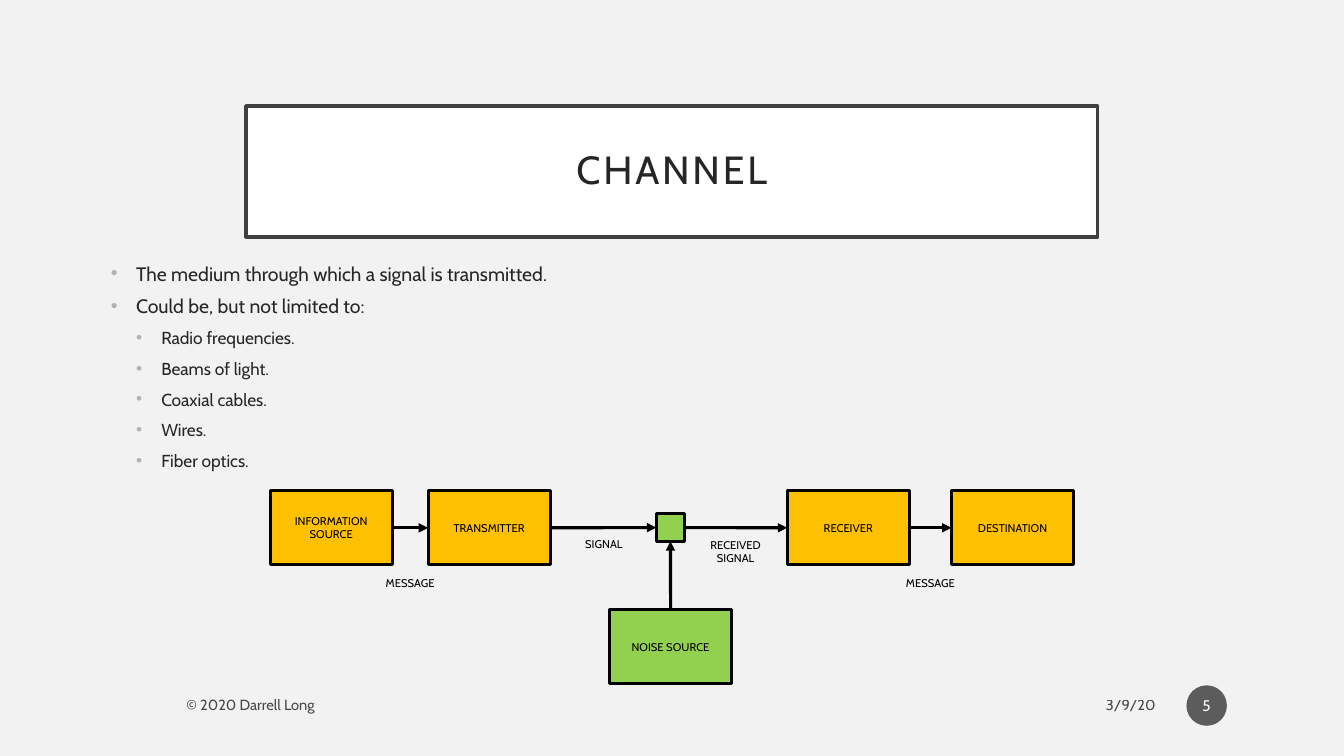
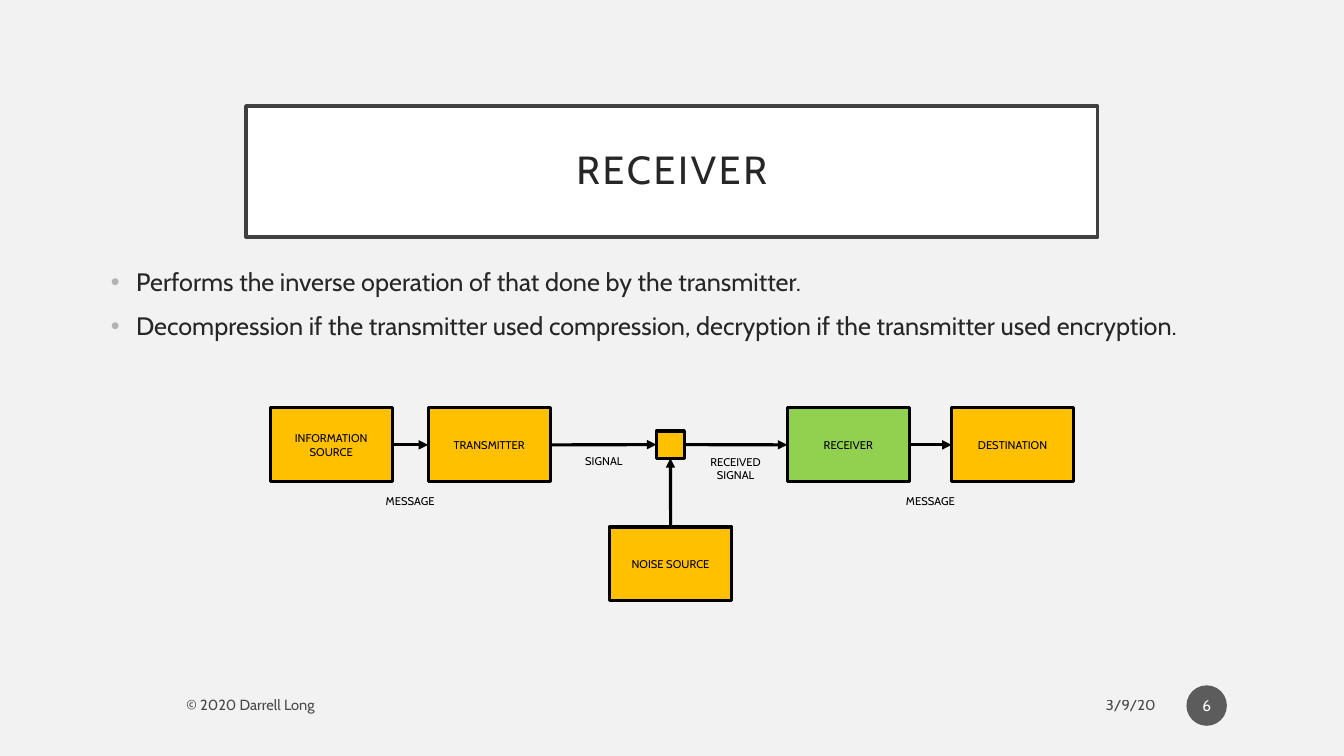
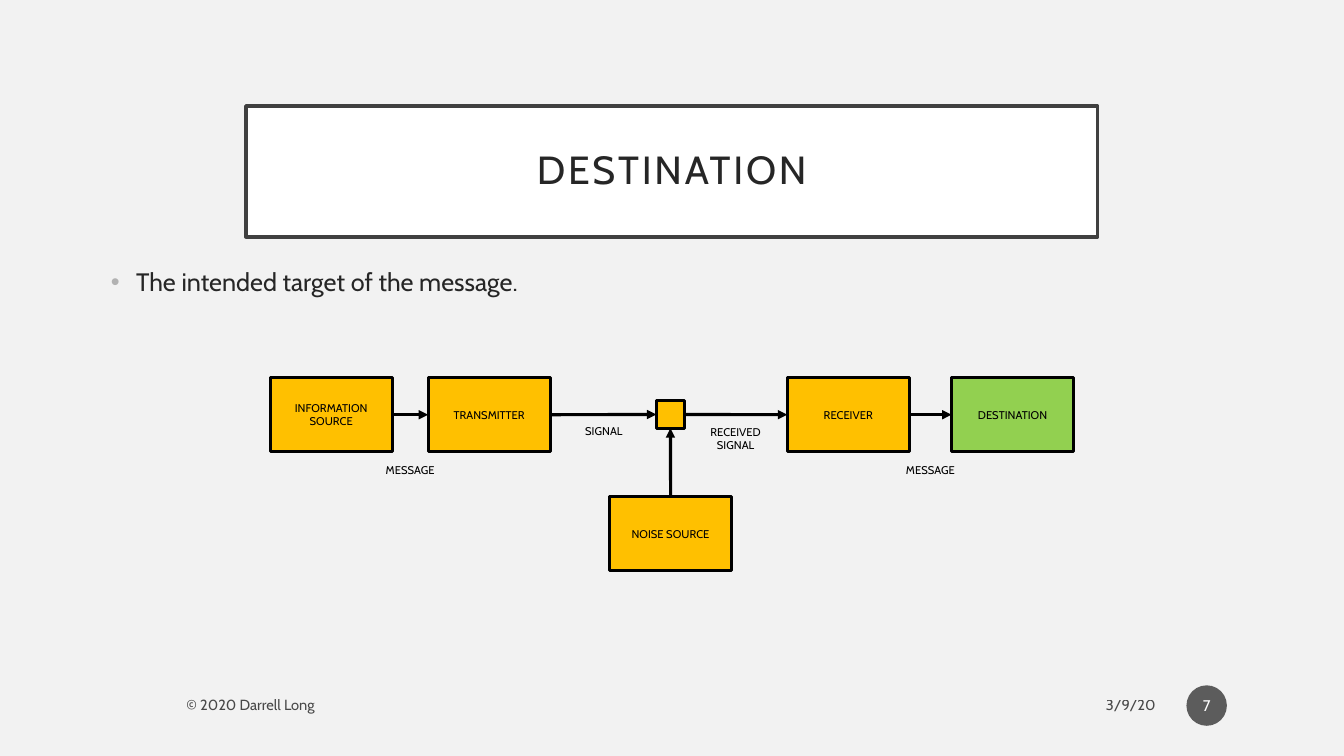
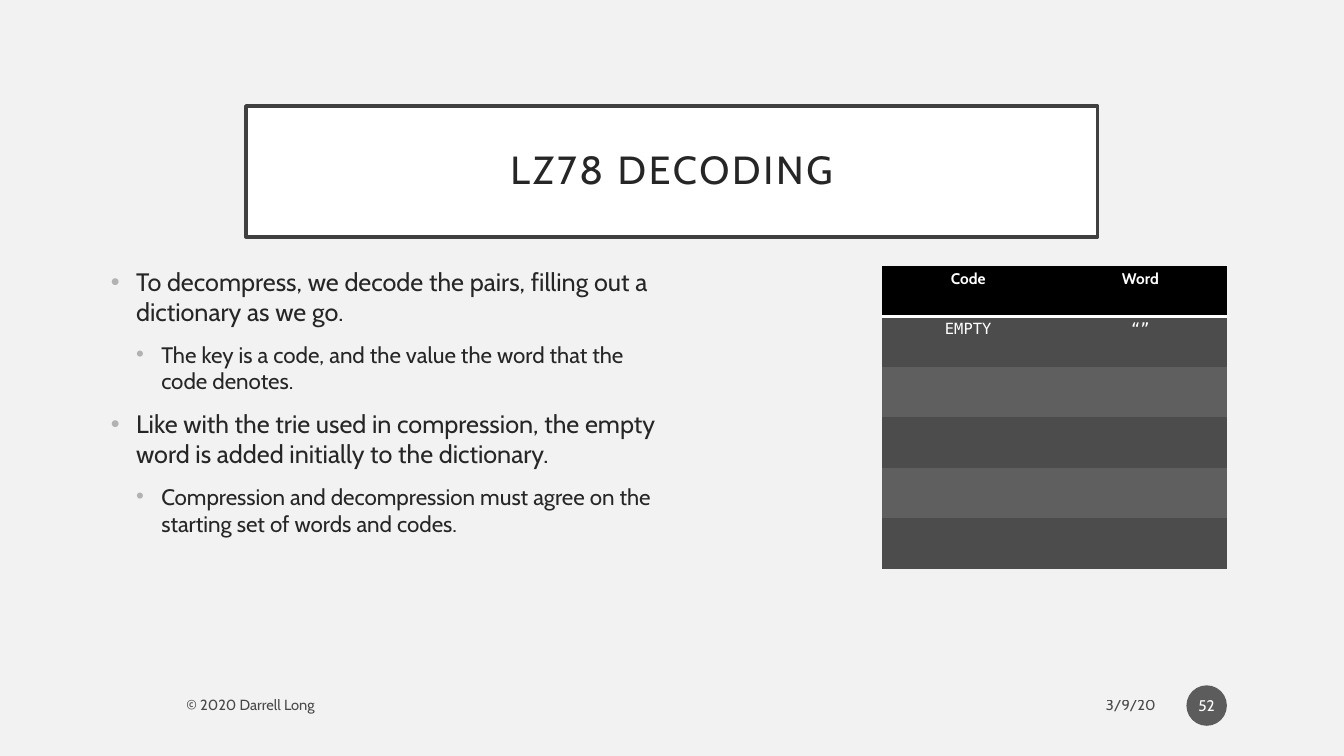
from lxml.etree import SubElement
from pptx import Presentation
from pptx.dml.color import RGBColor
from pptx.enum.shapes import MSO_CONNECTOR, MSO_SHAPE
from pptx.enum.text import MSO_ANCHOR, MSO_AUTO_SIZE, PP_ALIGN
from pptx.oxml import parse_xml
from pptx.oxml.ns import nsdecls, qn
from pptx.util import Cm, Pt

COLORS = {
    "background": "F2F2F2", "white": "FFFFFF", "black": "000000",
    "frame": "404040", "text": "262626", "bullet": "B2B2B2",
    "node": "FFC000", "highlight": "92D050", "badge": "1D1D1D",
    "dark row": "4C4C4C", "light row": "5F5F5F",
}
FONT = "Cabin"
MONO = "DejaVu Sans Mono"
COPYRIGHT = "© 2020 Darrell Long"
DATE = "3/9/20"

SLIDES = [
    {
        "title": "CHANNEL", "number": 5, "sizes": (13.9, 12.4), "spacing": 0.8,
        "body": (28.78, 5.59),
        "points": [
            (0, "The medium through which a signal is transmitted."),
            (0, "Could be, but not limited to:"),
            (1, "Radio frequencies."),
            (1, "Beams of light."),
            (1, "Coaxial cables."),
            (1, "Wires."),
            (1, "Fiber optics."),
        ],
        "diagram": 12.37, "highlights": ("junction", "noise"),
    },
    {
        "title": "RECEIVER", "number": 6, "sizes": (18, 16), "spacing": 1,
        "body": (28.78, 9.5),
        "points": [
            (0, "Performs the inverse operation of that done by the transmitter."),
            (0, "Decompression if the transmitter used compression, "
                "decryption if the transmitter used encryption."),
        ],
        "diagram": 10.28, "highlights": ("receiver",),
    },
    {
        "title": "DESTINATION", "number": 7, "sizes": (18, 16), "spacing": 1,
        "body": (28.78, 9.5),
        "points": [(0, "The intended target of the message.")],
        "diagram": 9.52, "highlights": ("destination",),
    },
    {
        "title": "LZ78 DECODING", "number": 52, "sizes": (18, 16), "spacing": 1,
        "body": (14.4, 9.5),
        "points": [
            (0, "To decompress, we decode the pairs, filling out a dictionary as we go."),
            (1, "The key is a code, and the value the word that the code denotes."),
            (0, "Like with the trie used in compression, the empty word is added "
                "initially to the dictionary."),
            (1, "Compression and decompression must agree on the starting set "
                "of words and codes."),
        ],
        "table": [("Code", "Word"), ("EMPTY", "“”")] + [("", "")] * 4,
    },
]

BIG, SMALL = (3.08, 1.86), (0.71, 0.69)
NODES = {
    "source": ("INFORMATION\nSOURCE", 6.81, 0, BIG),
    "transmitter": ("TRANSMITTER", 10.79, 0, BIG),
    "receiver": ("RECEIVER", 19.84, 0, BIG),
    "destination": ("DESTINATION", 23.98, 0, BIG),
    "noise": ("NOISE SOURCE", 15.36, 3, BIG),
    "junction": ("", 16.54, 0.58, SMALL),
}
TOP, LEFT, BOTTOM, RIGHT = range(4)
ARROWS = [
    ("source", RIGHT, "transmitter", LEFT),
    ("transmitter", RIGHT, "junction", LEFT),
    ("junction", RIGHT, "receiver", LEFT),
    ("receiver", RIGHT, "destination", LEFT),
    ("noise", TOP, "junction", BOTTOM),
]
LABELS = [
    ("MESSAGE", 9.22, 2.04, 0.69),
    ("MESSAGE", 22.33, 2.04, 0.69),
    ("SIGNAL", 14.1, 1.05, 0.69),
    ("RECEIVED\nSIGNAL", 17.42, 1.07, 1.09),
]


def color(name):
    return RGBColor.from_string(COLORS[name])


def place(shape, left, top, width, height):
    shape.left, shape.top = Cm(left), Cm(top)
    shape.width, shape.height = Cm(width), Cm(height)


def paint(shape, fill, line=None, weight=0):
    shape.shadow.inherit = False
    shape.fill.solid()
    shape.fill.fore_color.rgb = color(fill)
    if line:
        shape.line.color.rgb = color(line)
        shape.line.width = Pt(weight)
    else:
        shape.line.fill.background()


def style(para, size, ink, align=None, font=FONT):
    para.alignment = align
    para.font.name = font
    para.font.size = Pt(size)
    para.font.color.rgb = color(ink)


def write(frame, text, size, ink, align=PP_ALIGN.CENTER, anchor=MSO_ANCHOR.MIDDLE):
    frame.text = text
    frame.word_wrap = True
    frame.vertical_anchor = anchor
    for para in frame.paragraphs:
        style(para, size, ink, align)


def fade(shape):
    for ink in list(shape._element.iter(qn("a:srgbClr"))):
        SubElement(ink, qn("a:alpha"), val="70000")


def set_margins(holder, across, down):
    holder.margin_left = holder.margin_right = Cm(across)
    holder.margin_top = holder.margin_bottom = Cm(down)


def add_title(page, text):
    title = page.shapes.title
    place(title, 6.2, 2.67, 21.46, 3.3)
    title.fill.solid()
    title.fill.fore_color.rgb = color("white")
    title.line.color.rgb = color("frame")
    title.line.width = Pt(2.5)
    frame = title.text_frame
    write(frame, text, 28, "text")
    set_margins(frame, 0.5, 0.5)
    frame.auto_size = MSO_AUTO_SIZE.NONE
    para = frame.paragraphs[0]
    para.line_spacing = 0.9
    para.font._element.set("spc", "200")


def add_points(page, slide):
    body = page.placeholders[1]
    place(body, 2.54, 6.58, *slide["body"])
    frame = body.text_frame
    frame.text = "\n".join(text for level, text in slide["points"])
    frame.auto_size = MSO_AUTO_SIZE.NONE
    frame.vertical_anchor = MSO_ANCHOR.TOP
    for index, (para, (level, text)) in enumerate(zip(frame.paragraphs, slide["points"])):
        para.level = level
        para.line_spacing = float(slide["spacing"])
        para.space_before = Pt(10 if index else 0)
        properties = para._p.get_or_add_pPr()
        properties.set("marL", str(Cm(0.635 * (level + 1))))
        properties.set("indent", str(-Cm(0.635)))
        ink = SubElement(properties, qn("a:buClr"))
        SubElement(ink, qn("a:srgbClr"), val=COLORS["bullet"])
        SubElement(properties, qn("a:buChar"), char="•")
        style(para, slide["sizes"][level], "text", PP_ALIGN.LEFT)


def add_footer(page, number):
    for text, left, width, align in (
        (DATE, 21.72, 7.65, PP_ALIGN.RIGHT),
        (COPYRIGHT, 4.45, 16.38, PP_ALIGN.LEFT),
    ):
        box = page.shapes.add_textbox(Cm(left), Cm(17.32), Cm(width), Cm(0.89))
        write(box.text_frame, text, 10.5, "black", align)
        fade(box)
    badge = page.shapes.add_shape(MSO_SHAPE.OVAL, Cm(29.9), Cm(17.27), Cm(1.02), Cm(1.02))
    paint(badge, "badge")
    fade(badge)
    write(badge.text_frame, str(number), 11, "white")
    set_margins(badge.text_frame, 0.05, 0.13)


def add_diagram(page, top, highlights):
    group = page.shapes.add_group_shape().shapes
    nodes = {}
    for name, (text, left, drop, (width, height)) in NODES.items():
        node = group.add_shape(
            MSO_SHAPE.RECTANGLE, Cm(left), Cm(top + drop), Cm(width), Cm(height))
        paint(node, "highlight" if name in highlights else "node", "black", 2.25)
        if text:
            write(node.text_frame, text, 8, "black")
        nodes[name] = node
    for start, start_side, end, end_side in ARROWS:
        arrow = group.add_connector(MSO_CONNECTOR.STRAIGHT, 0, 0, 0, 0)
        arrow.begin_connect(nodes[start], start_side)
        arrow.end_connect(nodes[end], end_side)
        arrow.line.color.rgb = color("black")
        arrow.line.width = Pt(2.25)
        SubElement(arrow.line._get_or_add_ln(), qn("a:tailEnd"), type="triangle")
        SubElement(arrow._element.spPr, qn("a:effectLst"))
    for text, left, drop, height in LABELS:
        box = group.add_textbox(Cm(left), Cm(top + drop), Cm(2.24), Cm(height))
        write(box.text_frame, text, 8, "black", anchor=MSO_ANCHOR.TOP)


def add_dictionary(page, rows):
    table = page.shapes.add_table(
        len(rows), 2, Cm(22.23), Cm(6.71), Cm(8.68), Cm(1.27 * len(rows))).table
    table._tbl.tblPr.find(qn("a:tableStyleId")).text = "{2D5ABB26-0587-4C30-8999-92F81FD0307C}"
    for row, texts in enumerate(rows):
        fill = ("dark row" if row % 2 else "light row") if row else "black"
        for column, text in enumerate(texts):
            cell = table.cell(row, column)
            cell.fill.solid()
            cell.fill.fore_color.rgb = color(fill)
            set_margins(cell, 0.16, 0.08)
            para = cell.text_frame.paragraphs[0]
            if text:
                para.text = text
            style(para, 11, "white", PP_ALIGN.CENTER, MONO if row else FONT)
            para.font.bold = row == 0
            if row == 0:
                cell._tc.get_or_add_tcPr().insert(0, parse_xml(
                    f'<a:lnB {nsdecls("a")} w="{Pt(2)}"><a:solidFill>'
                    f'<a:srgbClr val="{COLORS["white"]}"/></a:solidFill></a:lnB>'))


def main():
    deck = Presentation()
    deck.slide_width, deck.slide_height = Cm(33.87), Cm(19.05)
    background = deck.slide_master.background.fill
    background.solid()
    background.fore_color.rgb = color("background")
    for slide in SLIDES:
        page = deck.slides.add_slide(deck.slide_layouts[1])
        add_title(page, slide["title"])
        add_points(page, slide)
        if "diagram" in slide:
            add_diagram(page, slide["diagram"], slide["highlights"])
        add_footer(page, slide["number"])
        if "table" in slide:
            add_dictionary(page, slide["table"])
    deck.save("out.pptx")


if __name__ == "__main__":
    main()
